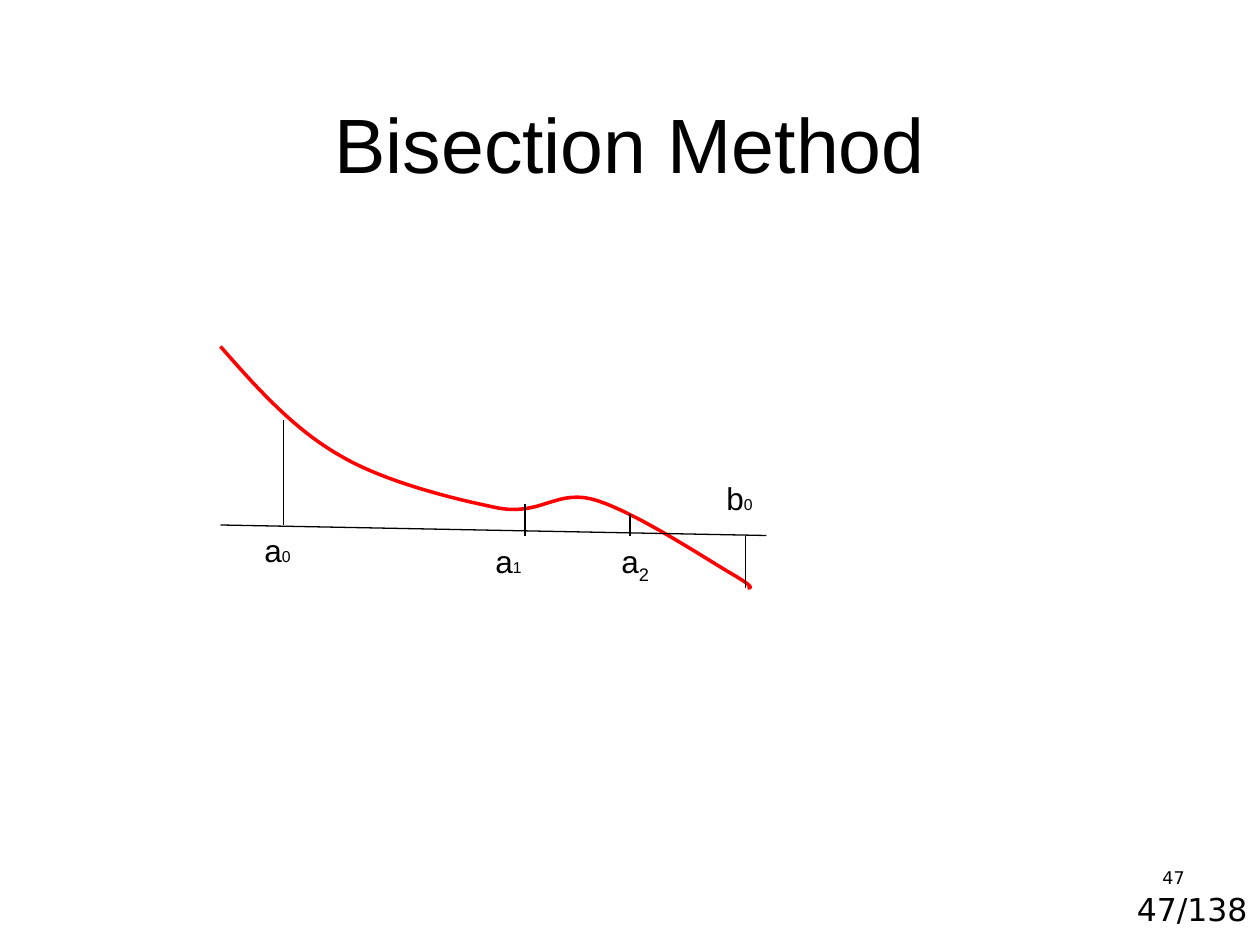
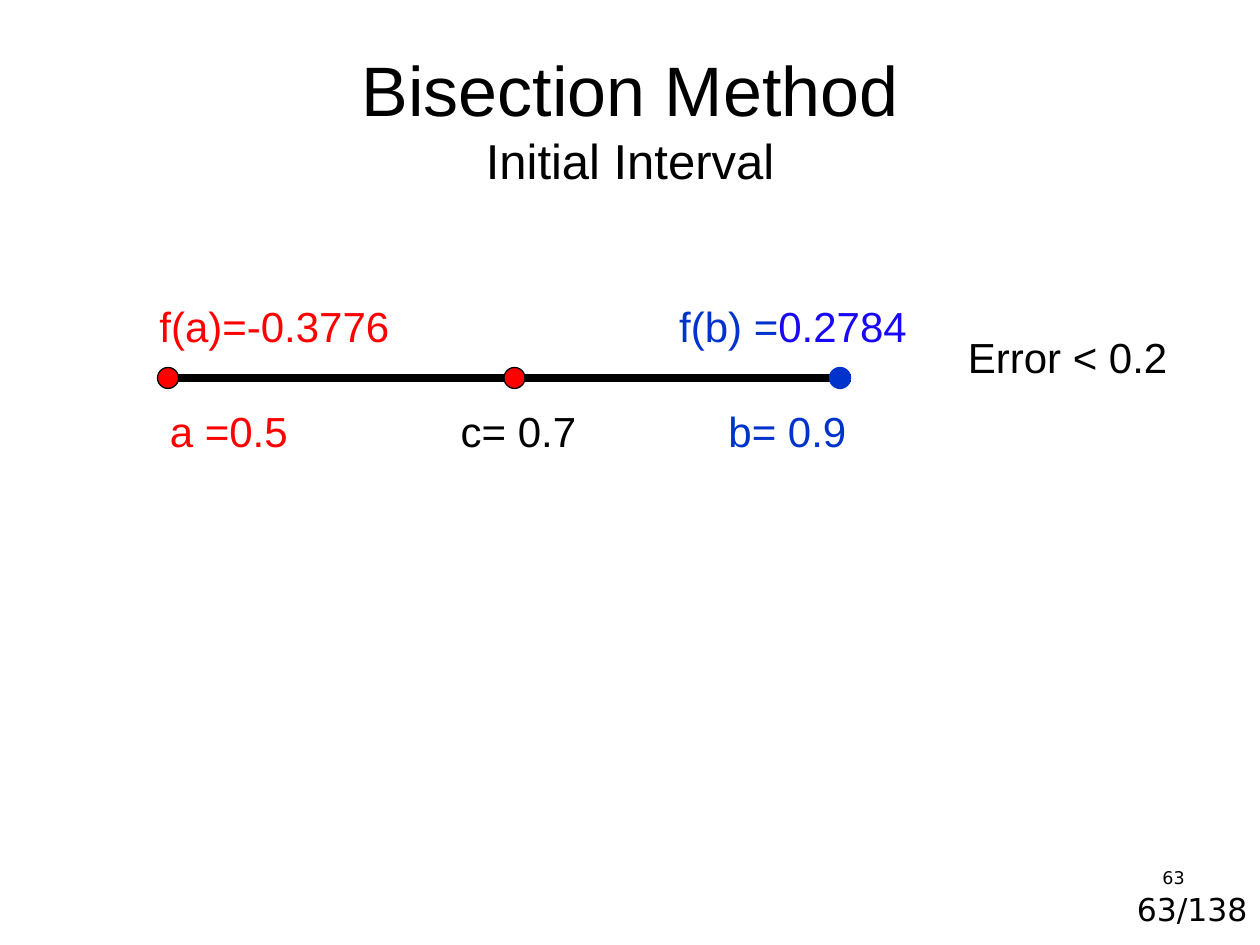
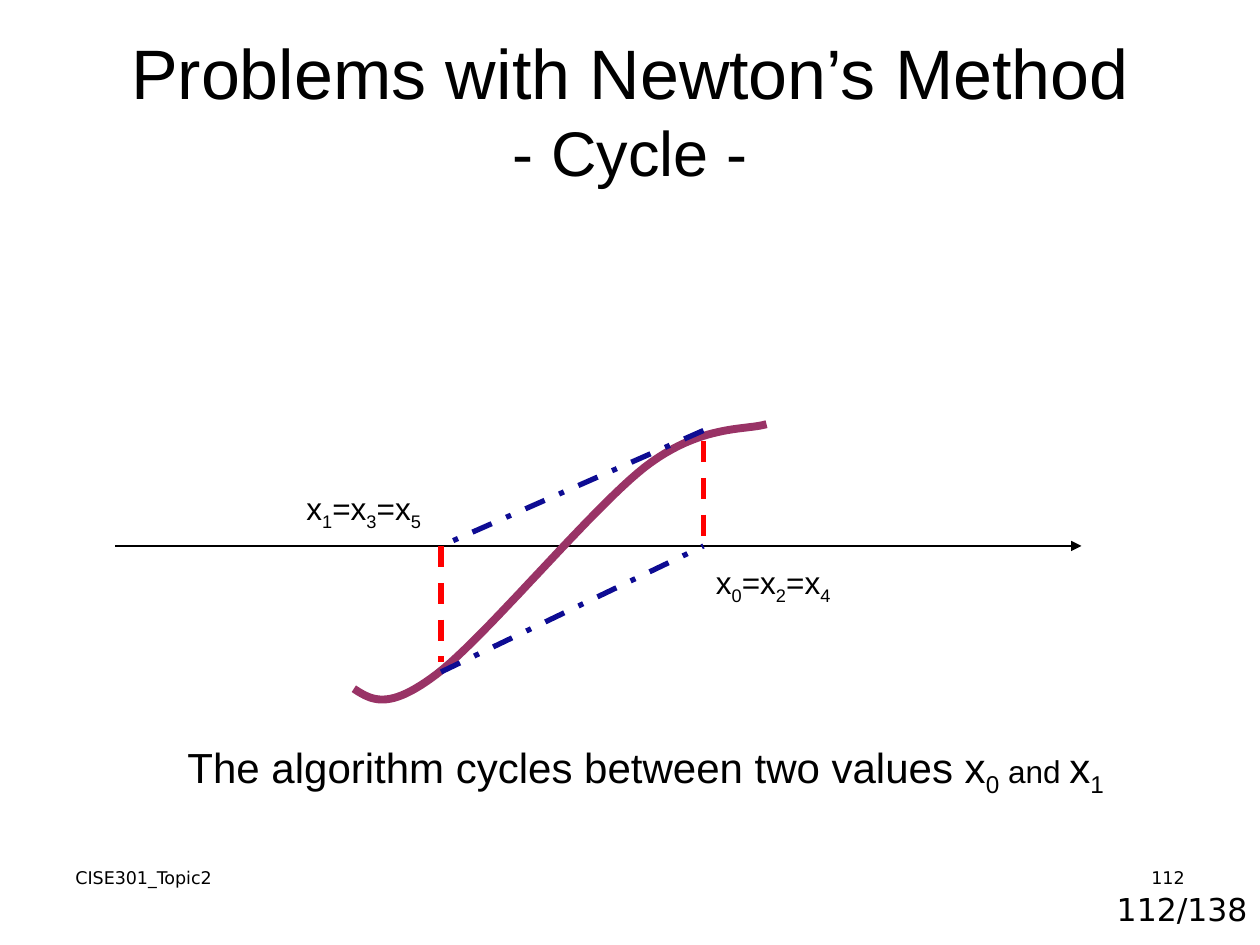
from lxml.etree import SubElement
from pptx import Presentation
from pptx.dml.color import RGBColor
from pptx.enum.dml import MSO_LINE
from pptx.enum.shapes import MSO_CONNECTOR, MSO_SHAPE
from pptx.enum.text import MSO_ANCHOR, PP_ALIGN
from pptx.oxml.ns import qn
from pptx.util import Inches, Pt

COLUMNS, ROWS, CELLS_PER_INCH = 120, 90, 12
BLACK, RED, BLUE, VIOLET, NAVY, PLUM = "000000", "FF0000", "0033CC", "1908F8", "0E0C93", "993366"
BODY_FONT, FOOTER_FONT = "Arial", "DejaVu Sans"
PAGE_TOTAL = 138
CURVE_STEPS = 24
AXIS_ROW = 52
INTERVAL_ROW = 36
DOT_SIZE = 2


def text(words, size=18, color=BLACK, subscript=False):
    return words, size, color, subscript


def subscript(words, size=18):
    return text(words, size, subscript=True)


def cycle_label(*indices):
    runs = []
    for position, index in enumerate(indices):
        runs += [text("=x" if position else "x"), subscript(index)]
    return runs


SLIDES = [
    {
        "page": 47,
        "title": [("Bisection Method", 44)],
        "drawing": [
            ("curve", [(21, 33), (24.5, 37), (28, 40.9), (32.4, 43.4),
                       (36.8, 46), (43.6, 47.6), (47.5, 48.4),
                       (51.6, 49.1), (53, 46.6), (56.6, 47.6),
                       (60.4, 48.7), (67.2, 53.2), (69.6, 54.6),
                       (72, 56), (71.5, 56), (71.2, 56)], RED, 2),
            ("line", (21, 50), (73, 51)),
            ("line", (27, 40), (27, 50)),
            ("line", (71, 51), (71, 56)),
            ("line", (50, 48), (50, 51)),
            ("line", (60, 51), (60, 49)),
            ("label", (24, 50, 9), [text("a"), text("0", 9)]),
            ("label", (68, 45, 9), [text("b"), text("0", 9)]),
            ("label", (46, 51, 9), [text("a"), text("1", 9)]),
            ("label", (58, 51, 6), [text("a"), subscript("2")]),
        ],
    },
    {
        "page": 63,
        "title": [("Bisection Method", 40), ("Initial Interval", 28)],
        "drawing": [
            ("label", (15, 38, 18), [text("a =0.5", 24, RED)]),
            ("label", (42.7, 38, 18), [text("c= 0.7", 24)]),
            ("label", (68.2, 38, 18), [text("b= 0.9", 24, BLUE)]),
            ("label", (14, 28, 28), [text("f(a)=-0.3776", 24, RED)]),
            ("label", (63.5, 28, 28), [text("f(b) =", 24, BLUE), text("0.2784", 24, VIOLET)]),
            ("line", (49, INTERVAL_ROW), (81, INTERVAL_ROW), BLACK, 4.5),
            ("line", (16, INTERVAL_ROW), (48, INTERVAL_ROW), BLACK, 4.5),
            ("dot", (80, INTERVAL_ROW), BLUE, BLUE),
            ("dot", (49, INTERVAL_ROW), RED, BLACK),
            ("dot", (16, INTERVAL_ROW), RED, BLACK),
            ("label", (91, 31, 24), [text("Error < 0.2", 24)]),
        ],
    },
    {
        "page": 112,
        "title": [("Problems with Newton’s Method", 40), ("- Cycle -", 36)],
        "footer": "CISE301_Topic2",
        "drawing": [
            ("label", (11, 70, 101),
             [text("The algorithm cycles between two values x", 24), subscript("0", 24),
              text(" and "), text("x", 24), subscript("1", 24)], PP_ALIGN.CENTER),
            ("line", (11, AXIS_ROW), (103, AXIS_ROW), BLACK, 0.75, None, True),
            ("line", (67, 42), (67, AXIS_ROW), RED, 3, MSO_LINE.DASH),
            ("curve", [(33.7, 65.6), (35.4, 66.7), (37, 67.7), (41.6, 64.2),
                       (46.2, 60.7), (56.3, 48.5), (61.4, 44.5),
                       (66.7, 40.4), (71, 41), (73, 40.4)], PLUM, 4.5),
            ("line", (67, 41), (42, AXIS_ROW), NAVY, 3, MSO_LINE.DASH_DOT),
            ("line", (42, AXIS_ROW), (42, 63), RED, 3, MSO_LINE.DASH),
            ("line", (42, 64), (67, AXIS_ROW), NAVY, 3, MSO_LINE.DASH_DOT),
            ("label", (67, 53, 16), cycle_label("0", "2", "4")),
            ("label", (28, 46, 16), cycle_label("1", "3", "5")),
        ],
    },
]


def grid(cells):
    return Inches(cells / CELLS_PER_INCH)


def rgb(color):
    return RGBColor.from_string(color)


def add_text(slide, box, lines, align=PP_ALIGN.LEFT, anchor=MSO_ANCHOR.TOP, font=BODY_FONT):
    frame = slide.shapes.add_textbox(*map(grid, box)).text_frame
    frame.word_wrap = True
    frame.vertical_anchor = anchor
    for index, runs in enumerate(lines):
        paragraph = frame.add_paragraph() if index else frame.paragraphs[0]
        paragraph.alignment = align
        for words, size, color, lowered in runs:
            run = paragraph.add_run()
            run.text = words
            run.font.name = font
            run.font.size = Pt(size)
            run.font.color.rgb = rgb(color)
            if lowered:
                run.font._element.set("baseline", "-25000")


def add_label(slide, place, runs, align=PP_ALIGN.LEFT):
    add_text(slide, (*place, 6), [runs], align)


def style_line(line, color, width):
    line.color.rgb = rgb(color)
    line.width = Pt(width)


def add_line(slide, start, end, color=BLACK, width=0.75, dash=None, arrow=False):
    connector = slide.shapes.add_connector(MSO_CONNECTOR.STRAIGHT, *map(grid, (*start, *end)))
    style_line(connector.line, color, width)
    if dash:
        connector.line.dash_style = dash
    properties = connector._element.spPr
    if arrow:
        SubElement(properties.find(qn("a:ln")), qn("a:tailEnd"), type="triangle")
    SubElement(properties, qn("a:effectLst"))


def bezier(controls, share):
    rest = 1 - share
    weights = (rest ** 3, 3 * rest ** 2 * share, 3 * rest * share ** 2, share ** 3)
    return tuple(grid(sum(weight * value for weight, value in zip(weights, axis)))
                 for axis in zip(*controls))


def add_curve(slide, points, color, width):
    vertices = [bezier(points[first:first + 4], step / CURVE_STEPS)
                for first in range(0, len(points) - 1, 3)
                for step in range(1, CURVE_STEPS + 1)]
    builder = slide.shapes.build_freeform(*map(grid, points[0]))
    builder.add_line_segments(vertices, close=False)
    curve = builder.convert_to_shape()
    curve.shadow.inherit = False
    curve.fill.background()
    style_line(curve.line, color, width)


def add_dot(slide, center, fill, outline):
    left, top = (value - DOT_SIZE / 2 for value in center)
    dot = slide.shapes.add_shape(MSO_SHAPE.OVAL, *map(grid, (left, top, DOT_SIZE, DOT_SIZE)))
    dot.shadow.inherit = False
    dot.fill.solid()
    dot.fill.fore_color.rgb = rgb(fill)
    style_line(dot.line, outline, 0.75)


def add_frame(slide, content):
    page = str(content["page"])
    add_text(slide, (101, 84.2, 19, 5.8), [[text(f"{page}/{PAGE_TOTAL}")]],
             PP_ALIGN.RIGHT, font=FOOTER_FONT)
    add_text(slide, (86, 82, 28, 6), [[text(page, 10)]], PP_ALIGN.RIGHT, font=FOOTER_FONT)
    if "footer" in content:
        add_text(slide, (6, 82, 28, 6), [[text(content["footer"], 10)]], font=FOOTER_FONT)
    add_text(slide, (6, 3.6, 108, 15), [[text(*line)] for line in content["title"]],
             PP_ALIGN.CENTER, MSO_ANCHOR.BOTTOM)


DRAWERS = {"label": add_label, "line": add_line, "curve": add_curve, "dot": add_dot}


def main():
    presentation = Presentation()
    presentation.slide_width, presentation.slide_height = grid(COLUMNS), grid(ROWS)
    for content in SLIDES:
        slide = presentation.slides.add_slide(presentation.slide_layouts[6])
        add_frame(slide, content)
        for kind, *details in content["drawing"]:
            DRAWERS[kind](slide, *details)
    presentation.save("out.pptx")


if __name__ == "__main__":
    main()
